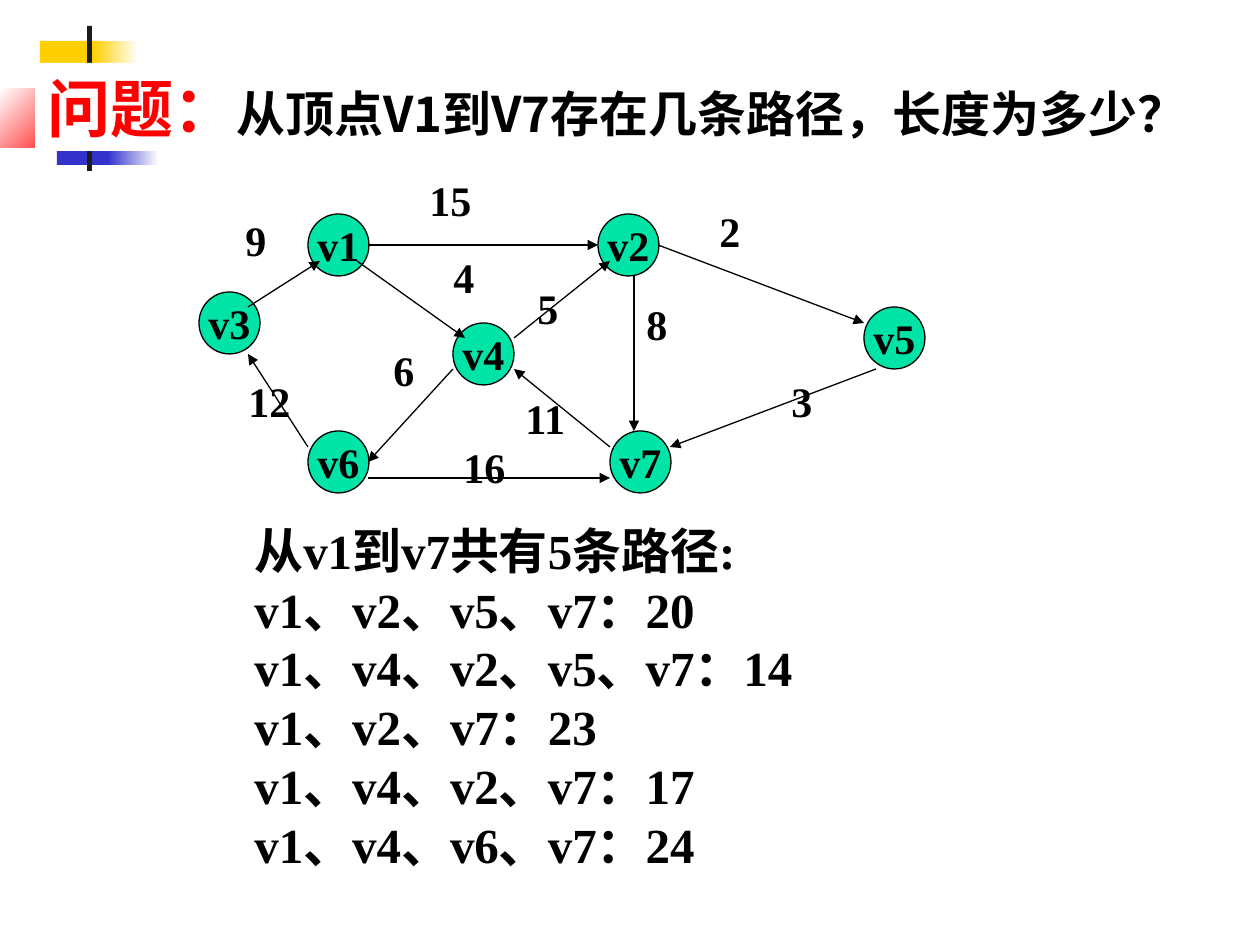
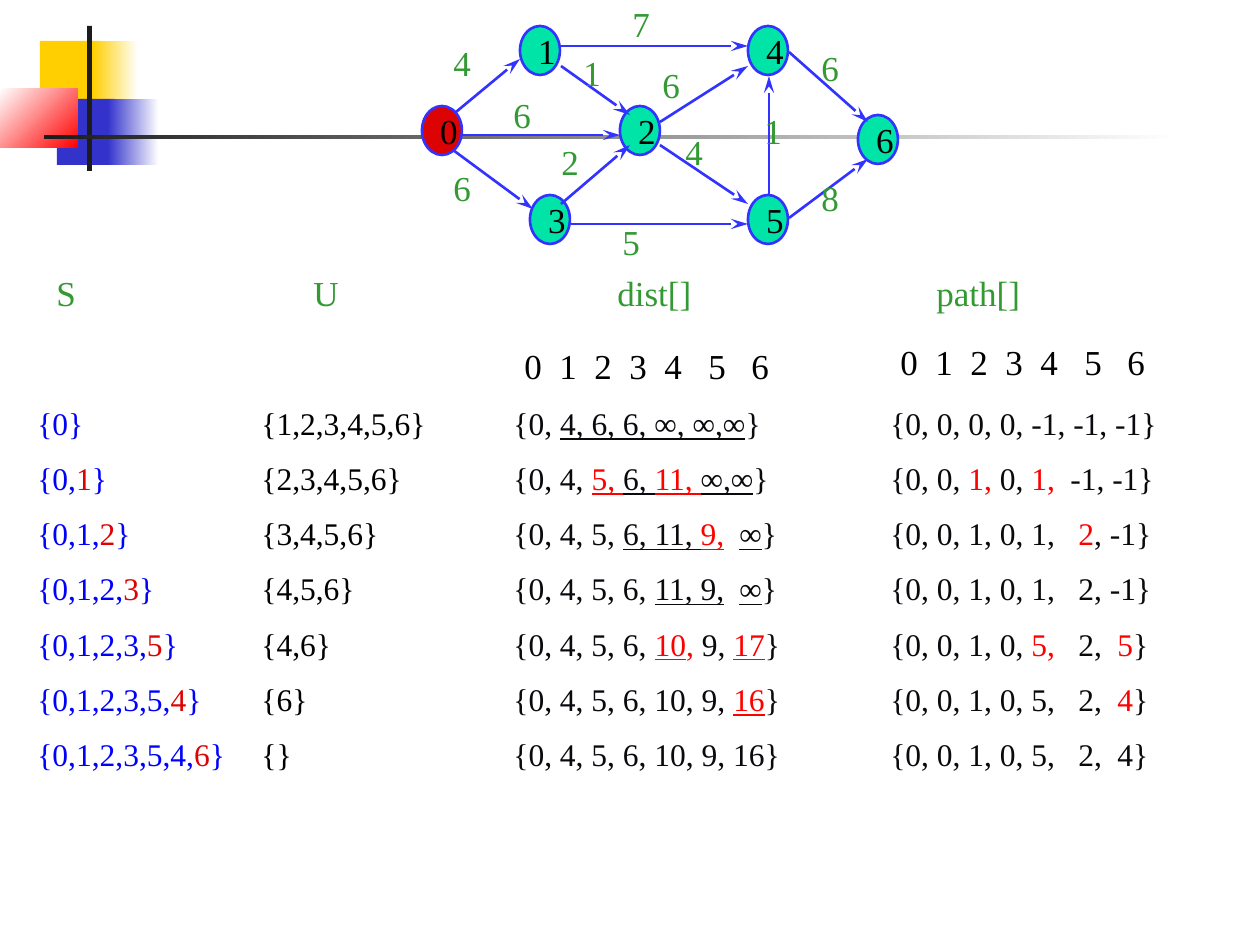
from dataclasses import dataclass
from typing import NamedTuple

from lxml import etree
from pptx import Presentation
from pptx.dml.color import RGBColor
from pptx.enum.shapes import MSO_CONNECTOR, MSO_SHAPE
from pptx.enum.text import MSO_ANCHOR, PP_ALIGN
from pptx.oxml.ns import qn
from pptx.util import Emu, Pt

PX = 914400 / 126
RECT, OVAL = MSO_SHAPE.RECTANGLE, MSO_SHAPE.OVAL
STRAIGHT = MSO_CONNECTOR.STRAIGHT
MIDDLE = MSO_ANCHOR.MIDDLE
LEFT, CENTER = PP_ALIGN.LEFT, PP_ALIGN.CENTER
SERIF, SANS = "Times New Roman", "Noto Sans CJK SC"

BLACK = RGBColor(0x00, 0x00, 0x00)
WHITE = RGBColor(0xFF, 0xFF, 0xFF)
INK = RGBColor(0x0A, 0x0A, 0x0E)
BAR = RGBColor(0x1C, 0x1C, 0x1C)
YELLOW = RGBColor(0xFF, 0xCF, 0x01)
NAVY = RGBColor(0x33, 0x33, 0xCC)
EDGE_BLUE = RGBColor(0x33, 0x33, 0xFF)
BLUE = RGBColor(0x00, 0x00, 0xFF)
RED = RGBColor(0xFF, 0x00, 0x00)
DARK_RED = RGBColor(0xDB, 0x03, 0x03)
MINT = RGBColor(0x00, 0xE4, 0xA8)
GREEN = RGBColor(0x33, 0x99, 0x33)


class Box(NamedTuple):
    """Left, top, width and height in pixels."""
    x: int
    y: int
    w: int
    h: int


class Run(NamedTuple):
    """A piece of text; unset values come from its TextStyle."""
    text: str
    color: RGBColor | None = None
    underline: bool = False
    size: int | None = None


class Para(NamedTuple):
    """A line of runs with tab stops in pixels."""
    runs: list[Run]
    tabs: tuple[int, ...] = ()


@dataclass(frozen=True)
class TextStyle:
    size: int
    color: RGBColor
    bold: bool = False
    font: str = SERIF
    align: PP_ALIGN = LEFT
    space_before: float = 0
    line_spacing: float | None = None


class Band(NamedTuple):
    """A decoration, plain or fading from start to end."""
    box: Box
    start: RGBColor
    end: RGBColor | None = None
    angle: int = 0


class Node(NamedTuple):
    name: str
    x: int
    y: int
    fill: RGBColor = MINT


class Edge(NamedTuple):
    """An arrow with its weight, written at (label_x, label_y)."""
    x1: int
    y1: int
    x2: int
    y2: int
    weight: str
    label_x: int
    label_y: int


@dataclass(frozen=True)
class GraphStyle:
    node_w: int
    node_h: int
    line: RGBColor
    line_pt: float
    head: str
    head_len: str
    node_text: TextStyle
    label_text: TextStyle


BANDS = [
    Band(Box(40, 41, 61, 66), YELLOW),
    Band(Box(93, 41, 45, 66), YELLOW, WHITE),
    Band(Box(57, 99, 58, 66), NAVY),
    Band(Box(108, 99, 51, 66), NAVY, WHITE),
    Band(Box(0, 89, 78, 59), WHITE, RED, 45),
    Band(Box(87, 26, 5, 145), BAR),
]
RULE = Band(Box(44, 135, 1134, 4), BAR, WHITE)

PATH_GRAPH = GraphStyle(61, 62, BLACK, 0.75, "triangle", "med",
                        TextStyle(24, BLACK, True, align=CENTER), TextStyle(24, BLACK, True))
PATH_NODES = [
    Node("v1", 308, 214), Node("v2", 598, 214), Node("v5", 864, 307), Node("v3", 199, 292),
    Node("v6", 308, 431), Node("v4", 453, 323), Node("v7", 610, 431),
]
PATH_EDGES = [
    Edge(248, 307, 320, 261, "9", 233, 208), Edge(368, 245, 598, 245, "15", 417, 168),
    Edge(357, 261, 465, 338, "4", 441, 245), Edge(308, 447, 248, 354, "12", 236, 369),
    Edge(453, 369, 368, 462, "6", 381, 338), Edge(368, 478, 610, 478, "16", 451, 435),
    Edge(658, 245, 864, 323, "2", 707, 199), Edge(876, 369, 670, 447, "3", 779, 369),
    Edge(634, 276, 634, 431, "8", 634, 292), Edge(514, 338, 610, 261, "5", 525, 276),
    Edge(610, 447, 514, 369, "11", 513, 386),
]
PATHS = ["从v1到v7共有5条路径:", "v1、v2、v5、v7：20", "v1、v4、v2、v5、v7：14",
         "v1、v2、v7：23", "v1、v4、v2、v7：17", "v1、v4、v6、v7：24"]

STEP_GRAPH = GraphStyle(40, 49, EDGE_BLUE, 1.5, "stealth", "lg",
                        TextStyle(20, BLACK), TextStyle(20, GREEN))
STEP_NODES = [
    Node("0", 422, 106, DARK_RED), Node("1", 520, 26), Node("3", 530, 195), Node("2", 620, 106),
    Node("4", 748, 26), Node("5", 748, 195), Node("6", 858, 115),
]
STEP_EDGES = [
    Edge(456, 112, 520, 59, "4", 441, 35), Edge(461, 135, 620, 135, "6", 501, 87),
    Edge(453, 150, 533, 209, "6", 441, 160), Edge(561, 46, 748, 46, "7", 620, -4),
    Edge(571, 224, 748, 224, "5", 610, 214), Edge(561, 204, 630, 145, "2", 549, 134),
    Edge(561, 66, 630, 115, "1", 571, 45), Edge(660, 122, 748, 66, "6", 650, 57),
    Edge(660, 145, 748, 204, "4", 673, 124), Edge(769, 195, 769, 76, "1", 752, 103),
    Edge(789, 218, 868, 159, "8", 809, 170), Edge(789, 52, 868, 122, "6", 809, 40),
]
VISIT_ORDER = "0123546"
COLUMN_Y, COLUMN_H = 398, 392
INDEX_TABS = (35, 70, 105, 140, 184, 227)
DIST_TABS, PATH_TABS = (226,), (188, 227)


def px(n: float) -> Emu:
    """Turn pixels into EMU."""
    return Emu(round(n * PX))


def red(text: str) -> Run:
    """A changed value."""
    return Run(text, RED)


def under(text: str) -> Run:
    """A value still open."""
    return Run(text, None, True)


def red_under(text: str) -> Run:
    """A changed value still open."""
    return Run(text, RED, True)


def plain(lines: list[str]) -> list[Para]:
    """One plain paragraph for each line."""
    return [Para([Run(line)]) for line in lines]


def write(tf, paras: list[Para], style: TextStyle) -> None:
    """Fill a text frame run by run."""
    for i, para in enumerate(paras):
        p = tf.add_paragraph() if i else tf.paragraphs[0]
        p.alignment = style.align
        if i and style.space_before:
            p.space_before = Pt(style.space_before)
        if style.line_spacing:
            p.line_spacing = style.line_spacing
        if para.tabs:
            tabs = etree.SubElement(p._p.get_or_add_pPr(), qn("a:tabLst"))
            for stop in para.tabs:
                etree.SubElement(tabs, qn("a:tab"), pos=str(px(stop)), algn="l")
        for run in para.runs:
            r = p.add_run()
            r.text = run.text
            r.font.name = style.font
            r.font.size = Pt(run.size or style.size)
            r.font.bold = style.bold
            r.font.color.rgb = run.color or style.color
            if run.underline:
                r.font.underline = True
            etree.SubElement(r.font._element, qn("a:ea"), typeface=SANS)


def add_text(s, box: Box, paras: list[Para], style: TextStyle, wrap: bool = True) -> None:
    """Add a text box."""
    tf = s.shapes.add_textbox(*map(px, box)).text_frame
    tf.word_wrap = wrap
    write(tf, paras, style)


def add_shape(s, kind: MSO_SHAPE, box: Box, fill: RGBColor):
    """Add a flat shape without outline."""
    sp = s.shapes.add_shape(kind, *map(px, box))
    sp.shadow.inherit = False
    sp.fill.solid()
    sp.fill.fore_color.rgb = fill
    sp.line.fill.background()
    return sp


def add_band(s, band: Band) -> None:
    """Add one decoration."""
    sp = add_shape(s, RECT, band.box, band.start)
    if band.end is not None:
        sp.fill.gradient()
        sp.fill.gradient_angle = -band.angle % 360
        for stop, color in zip(sp.fill.gradient_stops, (band.start, band.end)):
            stop.color.rgb = color


def add_arrow(s, edge: Edge, style: GraphStyle) -> None:
    """Add a straight arrow."""
    c = s.shapes.add_connector(STRAIGHT, *map(px, edge[:4]))
    c.line.color.rgb = style.line
    c.line.width = Pt(style.line_pt)
    sp_pr = c._element.spPr
    etree.SubElement(sp_pr.find(qn("a:ln")), qn("a:tailEnd"),
                     type=style.head, w="med", len=style.head_len)
    etree.SubElement(sp_pr, qn("a:effectLst"))


def add_graph(s, nodes: list[Node], edges: list[Edge], style: GraphStyle) -> None:
    """Draw nodes, then arrows, then weights."""
    for node in nodes:
        sp = add_shape(s, OVAL, Box(node.x, node.y, style.node_w, style.node_h), node.fill)
        sp.line.color.rgb = style.line
        sp.line.width = Pt(style.line_pt)
        sp.text_frame.word_wrap = False
        sp.text_frame.vertical_anchor = MIDDLE
        write(sp.text_frame, plain([node.name]), style.node_text)
    for edge in edges:
        add_arrow(s, edge, style)
    for edge in edges:
        box = Box(edge.label_x, edge.label_y, 26 + 21 * len(edge.weight), 58)
        add_text(s, box, plain([edge.weight]), style.label_text, wrap=False)


def add_column(s, x: int, w: int, paras: list[Para], color: RGBColor) -> None:
    """Add one column of the step listing."""
    style = TextStyle(18, color, space_before=9.9)
    add_text(s, Box(x, COLUMN_Y, w, COLUMN_H), paras, style)


def new_slide(prs, bands: list[Band]):
    """Add a blank slide with its decorations."""
    s = prs.slides.add_slide(prs.slide_layouts[6])
    for band in bands:
        add_band(s, band)
    return s


def build_paths(prs) -> None:
    """The question and all paths from v1 to v7."""
    s = new_slide(prs, BANDS)
    add_graph(s, PATH_NODES, PATH_EDGES, PATH_GRAPH)
    add_text(s, Box(242, 514, 598, 365), plain(PATHS), TextStyle(28, BLACK, True))
    sp = add_shape(s, RECT, Box(35, 63, 1193, 88), WHITE)
    sp.text_frame.word_wrap = True
    sp.text_frame.vertical_anchor = MIDDLE
    title = [Run("问题：", RED, size=36), Run("从顶点V1到V7存在几条路径，长度为多少？")]
    write(sp.text_frame, [Para(title)], TextStyle(28, BLACK, True, SANS))


def build_steps(prs) -> None:
    """The shortest-path steps from node 0."""
    s = new_slide(prs, BANDS + [RULE])
    add_graph(s, STEP_NODES, STEP_EDGES, STEP_GRAPH)
    add_text(s, Box(44, 273, 1131, 47), [Para([Run("S\tU\tdist[]\tpath[]")], (257, 561, 880))],
             TextStyle(20, GREEN, line_spacing=0.8))
    for x, y in ((512, 338), (888, 334)):
        add_text(s, Box(x, y, 277, 54), [Para([Run("\t".join("0123456"))], INDEX_TABS)],
                 TextStyle(20, BLACK))

    done, left = [Para([Run("{0}")])], []
    for n in range(1, len(VISIT_ORDER) + 1):
        seen, last = VISIT_ORDER[:n - 1], VISIT_ORDER[n - 1]
        if seen:
            done.append(Para([Run("{" + ",".join(seen) + ","), Run(last, DARK_RED), Run("}")]))
        left.append("{" + ",".join(sorted(VISIT_ORDER[n:])) + "}")
    dist = [
        [Run("{0, "), under("4, 6, 6, ∞, ∞,∞"), Run("}")],
        [Run("{0, 4, "), red_under("5, "), under("6, "), red_under("11, "), under("∞,∞"), Run("}")],
        [Run("{0, 4, 5, "), under("6, 11, "), red_under("9,\t"), under("∞"), Run("}")],
        [Run("{0, 4, 5, 6, "), under("11, 9,\t∞"), Run("}")],
        [Run("{0, 4, 5, 6, "), red_under("10"), red(", "), Run("9, "), red_under("17"), Run("}")],
        [Run("{0, 4, 5, 6, 10, 9, "), red_under("16"), Run("}")],
        [Run("{0, 4, 5, 6, 10, 9, 16}")],
    ]
    path = [
        Para([Run("{0, 0, 0, 0, -1, -1, -1}")]),
        Para([Run("{0, 0, "), red("1, "), Run("0, "), red("1,\t"), Run("-1, -1}")], (180,)),
        Para([Run("{0, 0, 1, 0, 1,\t"), red("2"), Run(", -1}")], PATH_TABS),
        Para([Run("{0, 0, 1, 0, 1,\t2, -1}")], PATH_TABS),
        Para([Run("{0, 0, 1, 0, "), red("5,\t"), Run("2,\t"), red("5"), Run("}")], PATH_TABS),
        Para([Run("{0, 0, 1, 0, 5,\t2,\t"), red("4"), Run("}")], PATH_TABS),
        Para([Run("{0, 0, 1, 0, 5,\t2,\t4}")], PATH_TABS),
    ]
    add_column(s, 25, 228, done, BLUE)
    add_column(s, 249, 218, plain(left), BLACK)
    add_column(s, 501, 307, [Para(runs, DIST_TABS) for runs in dist], INK)
    add_column(s, 878, 328, path, INK)


prs = Presentation()
prs.slide_width, prs.slide_height = px(1260), px(945)
build_paths(prs)
build_steps(prs)
prs.save("out.pptx")
